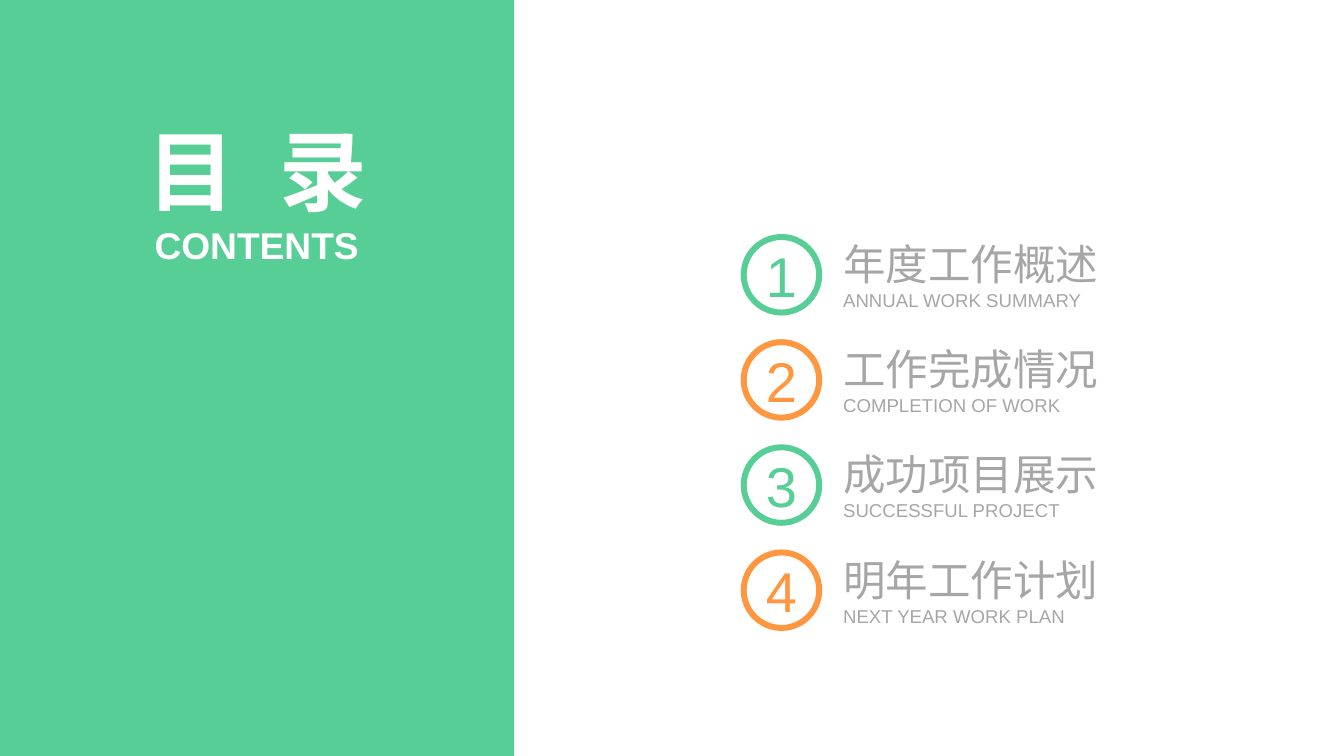
from dataclasses import dataclass

import pptx
import pptx.dml.color
import pptx.enum.shapes
import pptx.enum.text
import pptx.oxml
import pptx.oxml.ns
import pptx.presentation
import pptx.shapes.base
import pptx.slide
import pptx.text.text
import pptx.util

Inches = pptx.util.Inches
Pt = pptx.util.Pt
RGBColor = pptx.dml.color.RGBColor
Shapes = pptx.enum.shapes.MSO_SHAPE
Align = pptx.enum.text.PP_ALIGN
Anchor = pptx.enum.text.MSO_ANCHOR
AutoSize = pptx.enum.text.MSO_AUTO_SIZE
Paragraph = pptx.text.text._Paragraph

GREEN = RGBColor(0x57, 0xCE, 0x95)
ORANGE = RGBColor(0xFF, 0x97, 0x40)
GREY = RGBColor(0xA6, 0xA6, 0xA6)
WHITE = RGBColor(0xFF, 0xFF, 0xFF)

FONT = "Arial"
COMPARISON_LAYOUT = 4
FIRST_BADGE_TOP = 2.48
ENTRY_PITCH = 1.1
BADGE_SIZE = 0.79


@dataclass
class Entry:
    heading: str
    subtitle: str
    color: RGBColor


ENTRIES = [
    Entry("年度工作概述", "ANNUAL WORK SUMMARY", GREEN),
    Entry("工作完成情况", "COMPLETION OF WORK", ORANGE),
    Entry("成功项目展示", "SUCCESSFUL PROJECT", GREEN),
    Entry("明年工作计划", "NEXT YEAR WORK PLAN", ORANGE),
]


def place(box: pptx.shapes.base.BaseShape, left: float, top: float,
          width: float, height: float) -> None:
    box.left, box.top = Inches(left), Inches(top)
    box.width, box.height = Inches(width), Inches(height)


def prepare_frame(frame: pptx.text.text.TextFrame, anchor: Anchor, auto_size: AutoSize) -> None:
    frame.margin_left = frame.margin_right = 0
    frame.margin_top = frame.margin_bottom = 0
    frame.word_wrap = True
    frame.vertical_anchor = anchor
    frame.auto_size = auto_size


def format_paragraph(paragraph: Paragraph, size: float, color: RGBColor,
                     bold: bool = False, align: Align = Align.CENTER) -> None:
    paragraph.alignment = align
    paragraph.space_before = Pt(0)
    for span in paragraph.runs:
        span.font.name = FONT
        span.font.size = Pt(size)
        span.font.bold = bold
        span.font.color.rgb = color


def remove_bullet(paragraph: Paragraph) -> None:
    properties = paragraph._p.get_or_add_pPr()
    properties.set("marL", "0")
    properties.set("indent", "0")
    properties.append(pptx.oxml.parse_xml(f"<a:buNone {pptx.oxml.ns.nsdecls('a')}/>"))


def draw_panel(page: pptx.slide.Slide) -> None:
    panel = page.shapes.add_shape(Shapes.RECTANGLE, 0, 0, Inches(5.38), Inches(7.92))
    panel.shadow.inherit = False
    panel.fill.solid()
    panel.fill.fore_color.rgb = GREEN
    panel.line.fill.background()
    page.shapes._spTree.insert(2, panel._element)


def draw_title(page: pptx.slide.Slide) -> None:
    title = page.shapes.title
    place(title, 1.36, 1.22, 2.66, 1.11)
    prepare_frame(title.text_frame, Anchor.MIDDLE, AutoSize.SHAPE_TO_FIT_TEXT)
    paragraph = title.text_frame.paragraphs[0]
    for text in "目 录":
        paragraph.add_run().text = text
    format_paragraph(paragraph, 66, WHITE, bold=True)
    paragraph.runs[1]._r.get_or_add_rPr().set("spc", "1830")

    caption = page.shapes.add_textbox(Inches(1.37), Inches(2.33), Inches(2.63), Inches(0.47))
    prepare_frame(caption.text_frame, Anchor.TOP, AutoSize.SHAPE_TO_FIT_TEXT)
    caption.text_frame.text = "CONTENTS"
    format_paragraph(caption.text_frame.paragraphs[0], 28, WHITE, bold=True)


def draw_badge(page: pptx.slide.Slide, number: int, top: float, color: RGBColor) -> None:
    badge = page.shapes.add_shape(Shapes.OVAL, Inches(7.78), Inches(top),
                                  Inches(BADGE_SIZE), Inches(BADGE_SIZE))
    badge.shadow.inherit = False
    badge.fill.solid()
    badge.fill.fore_color.rgb = WHITE
    badge.line.color.rgb = color
    badge.line.width = Pt(4.5)
    prepare_frame(badge.text_frame, Anchor.MIDDLE, AutoSize.NONE)
    badge.text_frame.text = str(number)
    format_paragraph(badge.text_frame.paragraphs[0], 42.2, color)


def draw_entry(page: pptx.slide.Slide, number: int, entry: Entry) -> None:
    top = FIRST_BADGE_TOP + (number - 1) * ENTRY_PITCH
    draw_badge(page, number, top, entry.color)
    body = page.placeholders[number]
    place(body, 8.82, top + 0.01, 2.96, 0.77)
    frame = body.text_frame
    prepare_frame(frame, Anchor.MIDDLE, AutoSize.SHAPE_TO_FIT_TEXT)
    frame.text = f"{entry.heading}\n{entry.subtitle}"
    for paragraph, size in zip(frame.paragraphs, (32, 14)):
        remove_bullet(paragraph)
        format_paragraph(paragraph, size, GREY, align=Align.LEFT)


def main() -> None:
    deck: pptx.presentation.Presentation = pptx.Presentation()
    deck.slide_width, deck.slide_height = Inches(14.06), Inches(7.91)
    page = deck.slides.add_slide(deck.slide_layouts[COMPARISON_LAYOUT])
    draw_panel(page)
    draw_title(page)
    for number, entry in enumerate(ENTRIES, start=1):
        draw_entry(page, number, entry)
    deck.save("out.pptx")


if __name__ == "__main__":
    main()
